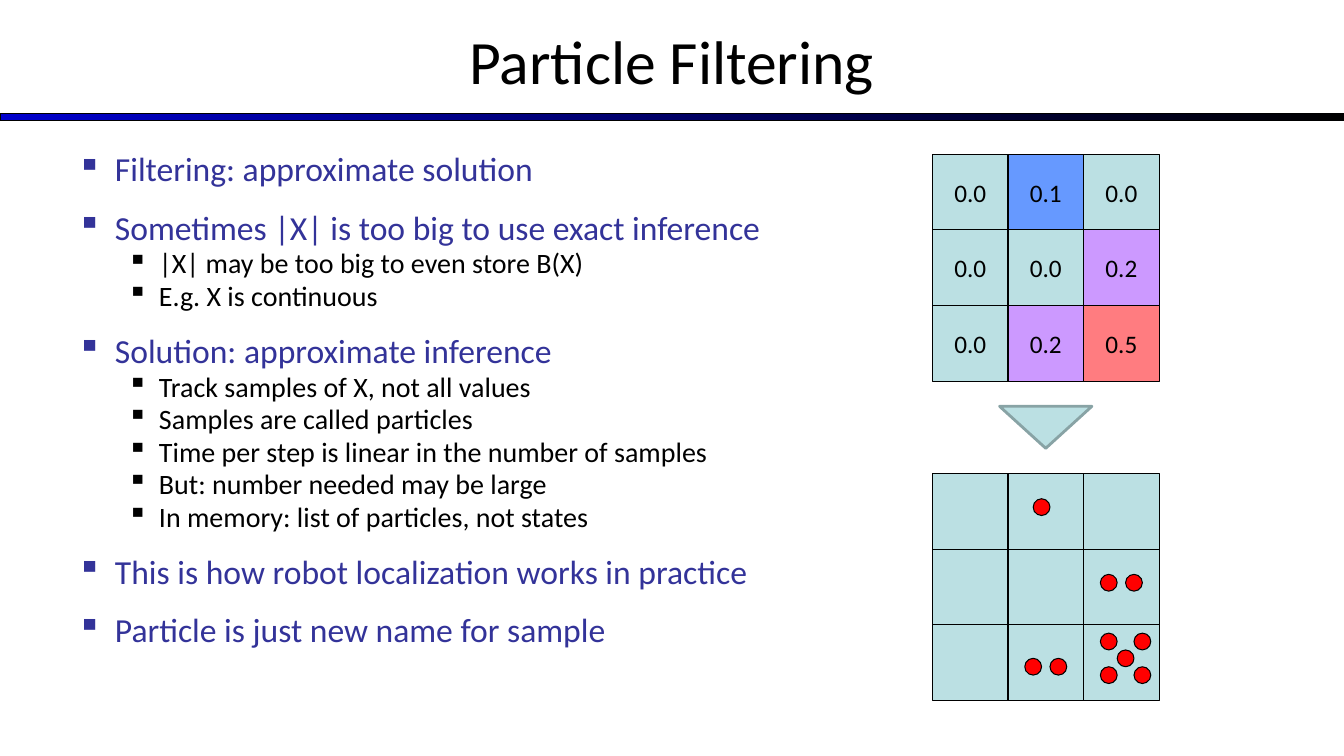
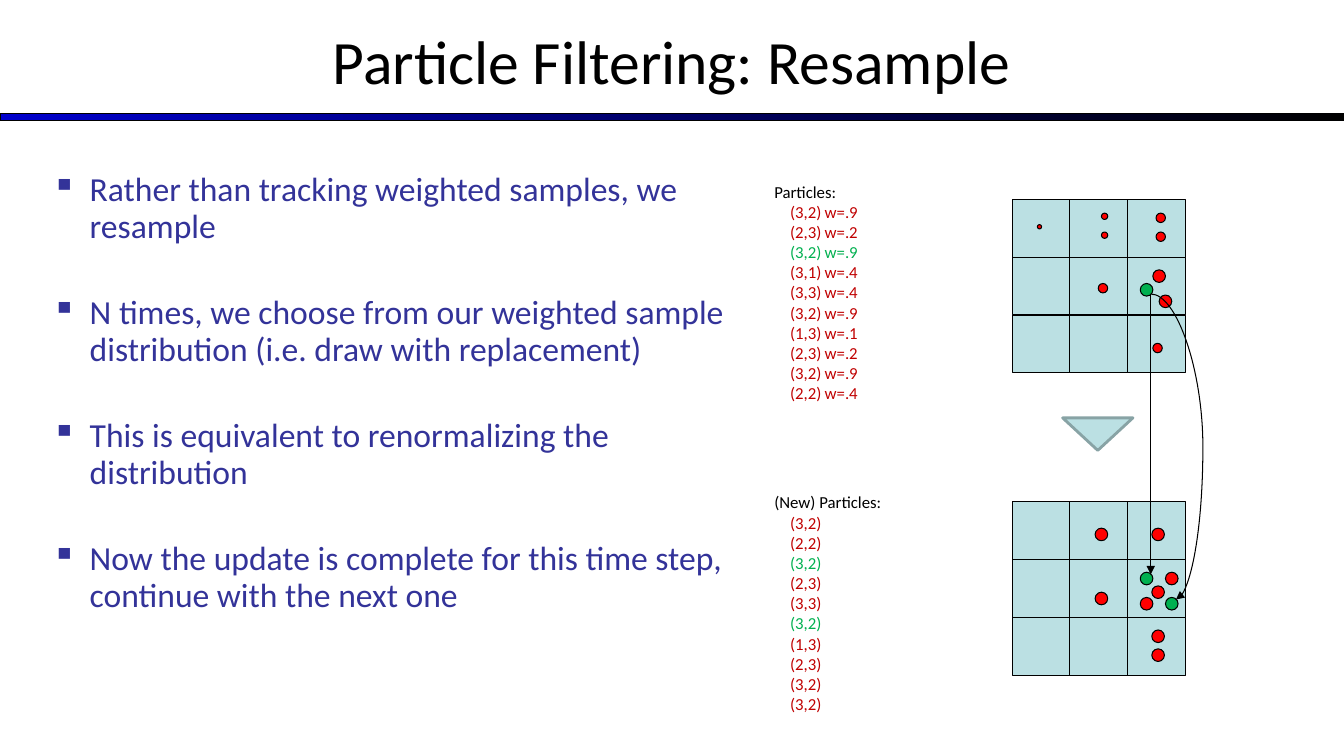
from lxml.etree import SubElement as Sub
from pptx import Presentation
from pptx.dml.color import RGBColor
from pptx.enum.shapes import MSO_CONNECTOR as Conn, MSO_SHAPE as Kind
from pptx.enum.text import MSO_ANCHOR as Anchor, PP_ALIGN as Align
from pptx.oxml.ns import qn
from pptx.util import Pt

SCALE = 9525
FONT = "Calibri"
BLACK, NAVY, BLUE = "000000", "333399", "0000CC"
CELL, EDGE = "BBE0E3", "88A3A5"
RED, GREEN, WINE = "FF0000", "00B050", "C00000"
SKY, LILAC, CORAL = "6699FF", "CC99FF", "FF7C80"


def px(*nums):
    """Turn pixel lengths into EMU."""
    return [num * SCALE for num in nums]


def rgb(code):
    """Turn a hex string into a colour."""
    return RGBColor.from_string(code)


class Deck:
    """Hold the style and the current slide."""

    def __init__(self):
        """Start an empty wide deck."""
        self.prs = Presentation()
        self.prs.slide_width, self.prs.slide_height = px(1280, 720)

    def slide(self, title):
        """Add a slide with its title and band."""
        page = self.prs.slides.add_slide(self.prs.slide_layouts[6])
        self.shapes = page.shapes
        band = self.shape(Kind.RECTANGLE, 0, 108, 1280, 7, BLUE)
        band.fill.gradient()
        band.fill.gradient_angle = 0
        for stop, code in zip(band.fill.gradient_stops, (BLUE, BLACK)):
            stop.color.rgb = rgb(code)
        frame = self.box(0, 0, 1280, 114)
        frame.vertical_anchor = Anchor.MIDDLE
        self.label(frame.paragraphs[0], title, 44, BLACK, Align.CENTER)

    def shape(self, kind, x, y, w, h, fill, edge=BLACK, width=0.75):
        """Add a filled and outlined shape."""
        item = self.shapes.add_shape(kind, *px(x, y, w, h))
        item.shadow.inherit = False
        item.fill.solid()
        item.fill.fore_color.rgb = rgb(fill)
        item.line.color.rgb = rgb(edge)
        item.line.width = Pt(width)
        return item

    def box(self, x, y, w, h):
        """Add a wrapping text box and return its frame."""
        frame = self.shapes.add_textbox(*px(x, y, w, h)).text_frame
        frame.word_wrap = True
        return frame

    def label(self, para, text, size, color, align=Align.LEFT):
        """Fill a paragraph with styled text."""
        para.text = text
        para.alignment = align
        para.font.name = FONT
        para.font.size = Pt(size)
        para.font.color.rgb = rgb(color)

    def lines(self, frame, items):
        """Yield a paragraph for each item."""
        for num, item in enumerate(items):
            yield num, frame.add_paragraph() if num else frame.paragraphs[0], item

    def bullets(self, x, y, w, h, items, space, gap):
        """Add a bulleted list of level and text pairs."""
        styles = ((36, 36, 24, NAVY, gap), (78, 30, 20, BLACK, 4))
        for num, para, (level, text) in self.lines(self.box(x, y, w, h), items):
            left, hang, size, color, before = styles[level]
            para.level = level
            para.line_spacing = space
            if num:
                para.space_before = Pt(before)
            props = para._p.get_or_add_pPr()
            props.set("marL", str(left * SCALE))
            props.set("indent", str(-hang * SCALE))
            Sub(Sub(props, qn("a:buClr")), qn("a:srgbClr"), val=color)
            Sub(props, qn("a:buChar"), char="▪")
            self.label(para, text, size, color)

    def roster(self, x, y, head, rows, picks):
        """Add a headed list of particles, with some picked out."""
        for num, para, text in self.lines(self.box(x, y, 144, 223), [head, *rows]):
            if num:
                props = para._p.get_or_add_pPr()
                props.set("indent", str(15 * SCALE))
                tabs = Sub(props, qn("a:tabLst"))
                Sub(tabs, qn("a:tab"), pos=str(51 * SCALE), algn="l")
            color = GREEN if num in picks else WINE if num else BLACK
            self.label(para, text, 12, color)

    def grid(self, x, y, side, labels=(), tints={}):
        """Add a three by three grid of cells."""
        for num in range(9):
            row, col = divmod(num, 3)
            text = labels[num] if labels else ""
            cell = self.shape(Kind.RECTANGLE, x + col * side, y + row * side,
                              side, side, tints.get(text, CELL))
            if text:
                frame = cell.text_frame
                frame.vertical_anchor = Anchor.MIDDLE
                self.label(frame.paragraphs[0], text, 18, BLACK, Align.CENTER)

    def dots(self, x, y, size, spots, fill=RED):
        """Add particles at offsets from a grid corner."""
        for dx, dy in spots:
            self.shape(Kind.OVAL, x + dx, y + dy, size, size, fill)

    def wedge(self, x, y, w, h):
        """Add a triangle that points down."""
        self.shape(Kind.FLOWCHART_MERGE, x, y, w, h, CELL, EDGE, 2)

    def arrow(self, kind, ends, bend=None):
        """Add a thin arrow, bent if asked."""
        link = self.shapes.add_connector(kind, *px(*ends))
        link.line.color.rgb = rgb(BLACK)
        link.line.width = Pt(0.75)
        props = link._element.spPr
        Sub(props.find(qn("a:ln")), qn("a:tailEnd"), type="triangle")
        Sub(props, qn("a:effectLst"))
        if bend:
            guides = props.find(qn("a:prstGeom")).find(qn("a:avLst"))
            Sub(guides, qn("a:gd"), name="adj1", fmla=f"val {bend}")


def intro(deck):
    """Build the overview slide."""
    deck.slide("Particle Filtering")
    deck.bullets(64, 144, 720, 475, [
        (0, "Filtering: approximate solution"),
        (0, "Sometimes |X| is too big to use exact inference"),
        (1, "|X| may be too big to even store B(X)"),
        (1, "E.g. X is continuous"),
        (0, "Solution: approximate inference"),
        (1, "Track samples of X, not all values"),
        (1, "Samples are called particles"),
        (1, "Time per step is linear in the number of samples"),
        (1, "But: number needed may be large"),
        (1, "In memory: list of particles, not states"),
        (0, "This is how robot localization works in practice"),
        (0, "Particle is just new name for sample"),
    ], 0.8, 18.6)
    odds = "0.0 0.1 0.0 0.0 0.0 0.2 0.0 0.2 0.5".split()
    deck.grid(888, 147, 72, odds, {"0.1": SKY, "0.2": LILAC, "0.5": CORAL})
    deck.wedge(952, 387, 88, 40)
    deck.grid(888, 451, 72)
    deck.dots(888, 451, 16, [
        (96, 24), (160, 96), (184, 96), (88, 176), (112, 176),
        (160, 152), (192, 152), (176, 168), (160, 184), (192, 184)])


def resample(deck):
    """Build the resampling slide."""
    deck.slide("Particle Filtering: Resample")
    deck.bullets(40, 160, 696, 492, [
        (0, "Rather than tracking weighted samples, we resample"),
        (0, "N times, we choose from our weighted sample distribution "
            "(i.e. draw with replacement)"),
        (0, "This is equivalent to renormalizing the distribution"),
        (0, "Now the update is complete for this time step, "
            "continue with the next one"),
    ], 0.9, 36)
    old = ["(3,2)\tw=.9", "(2,3)\tw=.2", "(3,2)\tw=.9", "(3,1)\tw=.4",
           "(3,3)\tw=.4", "(3,2)\tw=.9", "(1,3)\tw=.1", "(2,3)\tw=.2",
           "(3,2)\tw=.9", "(2,2)\tw=.4"]
    new = "(3,2) (2,2) (3,2) (2,3) (3,3) (3,2) (1,3) (2,3) (3,2) (3,2)".split()
    deck.roster(728, 168, "Particles:", old, {3})
    deck.roster(728, 464, "(New) Particles:", new, {3, 6})
    left, top, base, side = 964, 190, 478, 55
    deck.grid(left, top, side)
    deck.dots(left, top, 4, [(24, 24)])
    deck.dots(left, top, 6, [(85, 13), (85, 31)])
    deck.dots(left, top, 9, [(137, 13), (137, 31), (82, 80), (134, 137)])
    deck.dots(left, top, 12, [(134, 67), (140, 91)])
    deck.dots(left, top, 12, [(122, 80)], GREEN)
    deck.wedge(1012, 398, 67, 31)
    deck.grid(left, base, side)
    deck.dots(left, base, 12, [
        (79, 25), (133, 25), (79, 86), (146, 67), (133, 80),
        (122, 91), (133, 122), (133, 140)])
    deck.dots(left, base, 12, [(122, 67), (146, 91)], GREEN)
    deck.arrow(Conn.STRAIGHT, (1096, 280, 1096, 547))
    deck.arrow(Conn.CURVE, (1096, 280, 1120, 571), 206800)


def main():
    """Build and save the deck."""
    deck = Deck()
    intro(deck)
    resample(deck)
    deck.prs.save("out.pptx")


if __name__ == "__main__":
    main()
